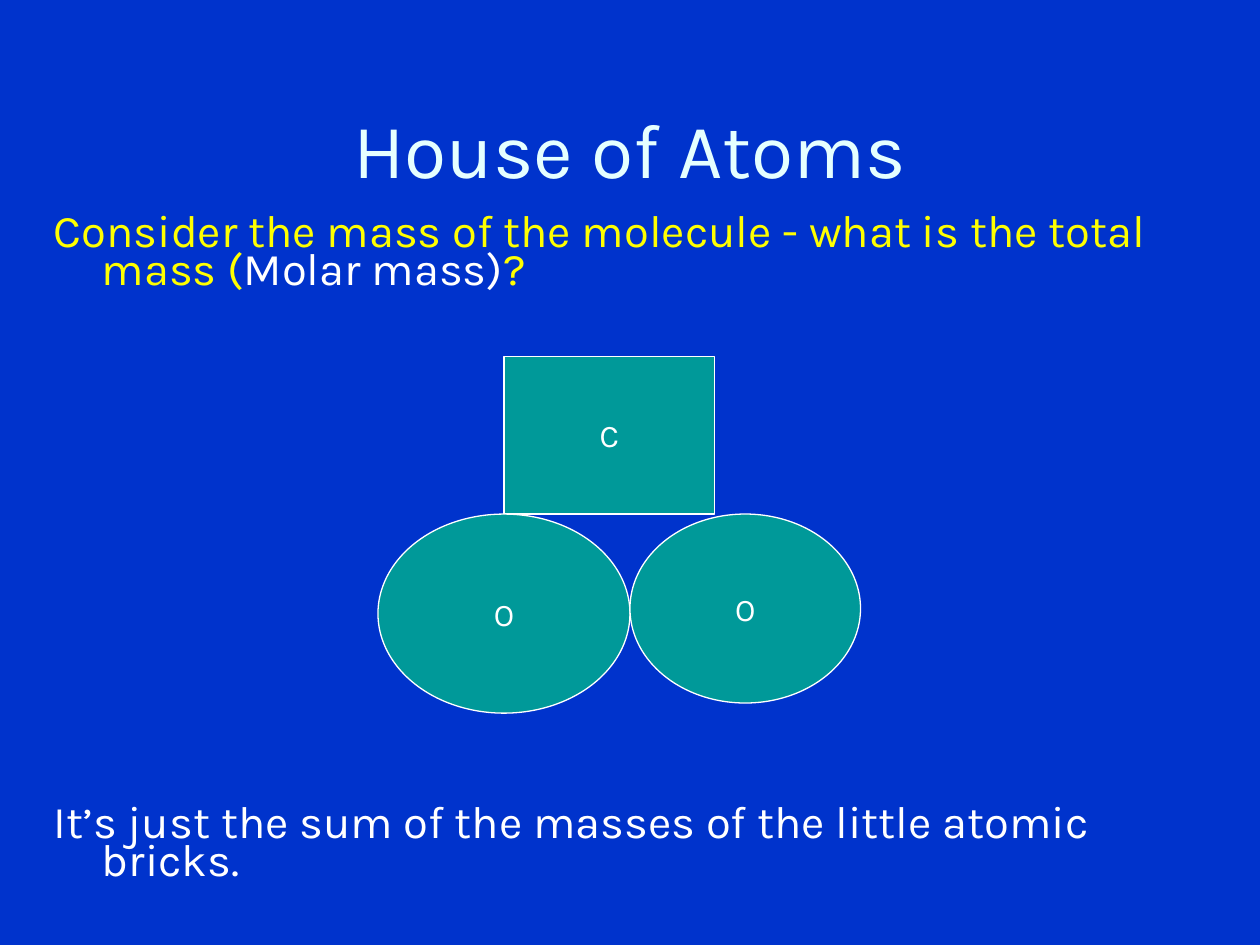
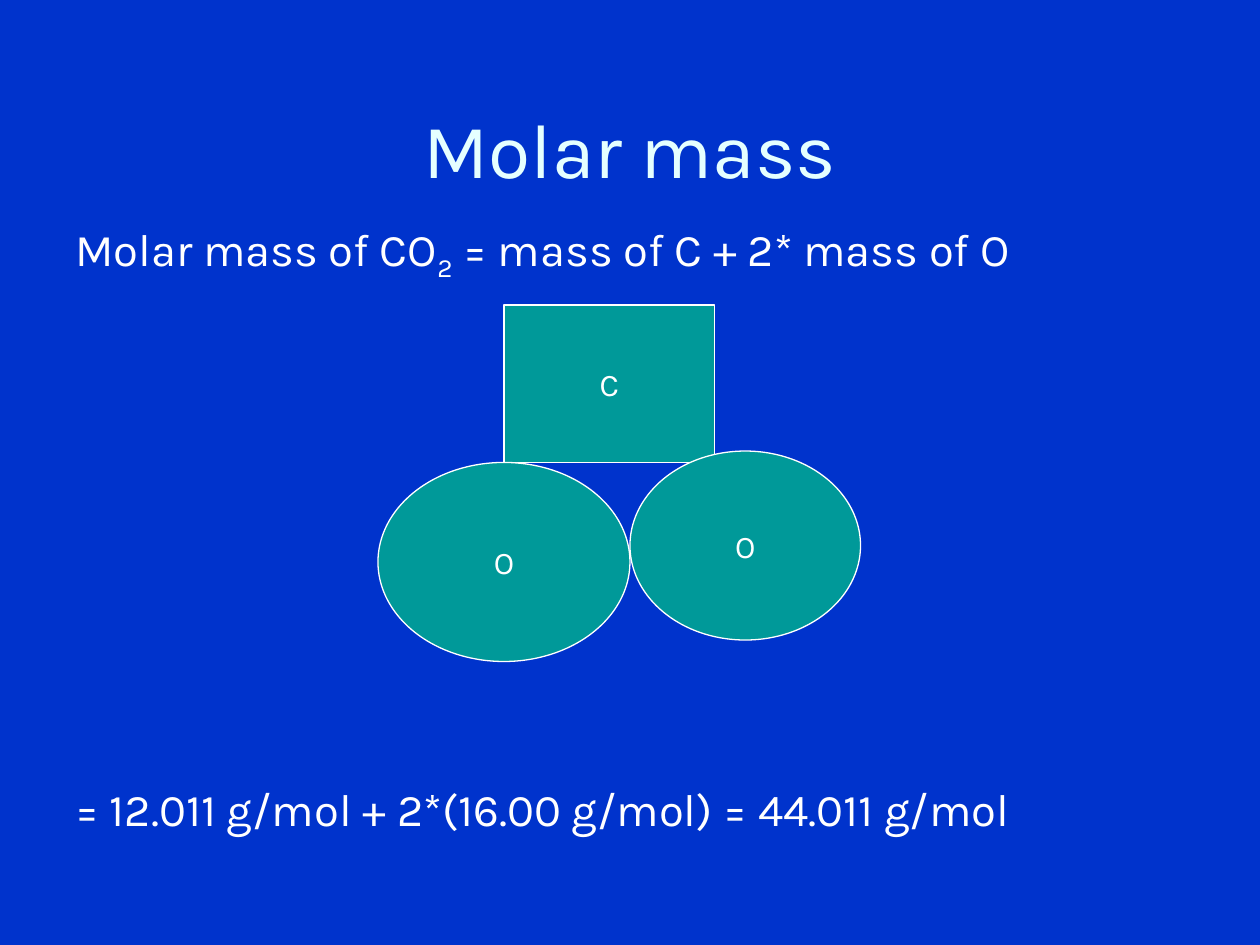
from dataclasses import dataclass

from pptx import Presentation
from pptx import util as u
from pptx.dml.color import RGBColor
from pptx.enum import shapes, text


@dataclass(frozen=True)
class Theme:
    background: RGBColor = RGBColor(0x00, 0x33, 0xCC)
    title: RGBColor = RGBColor(0xE5, 0xFF, 0xFF)
    question: RGBColor = RGBColor(0xFF, 0xFF, 0x00)
    plain: RGBColor = RGBColor(0xFF, 0xFF, 0xFF)
    atom: RGBColor = RGBColor(0x00, 0x99, 0x99)
    font: str = "Karla"
    title_size: u.Pt = u.Pt(44)
    body_size: u.Pt = u.Pt(25.9)
    atom_size: u.Pt = u.Pt(18)
    outline: u.Pt = u.Pt(0.75)
    molecule_gap: u.Pt = u.Pt(294.5)
    hanging: u.Inches = u.Inches(0.38)


THEME = Theme()


@dataclass(frozen=True)
class Phrase:
    words: str
    color: RGBColor = THEME.plain
    subscript: bool = False


@dataclass(frozen=True)
class Box:
    left: float
    top: float
    width: float
    height: float

    def inches(self) -> tuple:
        return tuple(map(u.Inches, (self.left, self.top, self.width, self.height)))


@dataclass(frozen=True)
class Lesson:
    title: str
    body: Box
    line_spacing: float
    statement: list[Phrase]
    conclusion: str
    carbon_top: float
    right_oxygen_lift: float = 0


TITLE_BOX = Box(0.5, 0.42, 9, 1.5)
CARBON_HEIGHT = 1.25

LESSONS = [
    Lesson(
        "House of Atoms",
        Box(0.33, 1.67, 9.17, 5.33),
        0.7,
        [
            Phrase("Consider the mass of the molecule - what is the total mass (", THEME.question),
            Phrase("Molar mass)"),
            Phrase("?", THEME.question),
        ],
        "It’s just the sum of the masses of the little atomic bricks.",
        carbon_top=2.83,
    ),
    Lesson(
        "Molar mass",
        Box(0.5, 1.75, 9, 4.92),
        0.8,
        [
            Phrase("Molar mass of CO"),
            Phrase("2", subscript=True),
            Phrase(" = mass of C + 2* mass of O"),
        ],
        "= 12.011 g/mol + 2*(16.00 g/mol) = 44.011 g/mol",
        carbon_top=2.42,
        right_oxygen_lift=0.09,
    ),
]


def style(paragraph, size: u.Pt, color: RGBColor) -> None:
    paragraph.font.name = THEME.font
    paragraph.font.size = size
    paragraph.font.color.rgb = color


def add_title(slide, title: str) -> None:
    frame = slide.shapes.add_textbox(*TITLE_BOX.inches()).text_frame
    frame.word_wrap = True
    frame.vertical_anchor = text.MSO_ANCHOR.MIDDLE
    heading = frame.paragraphs[0]
    heading.text = title
    heading.alignment = text.PP_ALIGN.CENTER
    style(heading, THEME.title_size, THEME.title)


def add_phrases(paragraph, phrases: list[Phrase], line_spacing: float, before: u.Pt) -> None:
    style(paragraph, THEME.body_size, THEME.plain)
    paragraph.line_spacing = line_spacing
    paragraph.space_before = before
    indents = paragraph._p.get_or_add_pPr()
    indents.set("marL", str(THEME.hanging))
    indents.set("indent", str(-THEME.hanging))
    for phrase in phrases:
        run = paragraph.add_run()
        run.text = phrase.words
        if phrase.color != THEME.plain:
            run.font.color.rgb = phrase.color
        if phrase.subscript:
            run._r.get_or_add_rPr().set("baseline", "-25000")


def add_body(slide, lesson: Lesson) -> None:
    frame = slide.shapes.add_textbox(*lesson.body.inches()).text_frame
    frame.word_wrap = True
    add_phrases(frame.paragraphs[0], lesson.statement, lesson.line_spacing, u.Pt(7))
    add_phrases(frame.add_paragraph(), [Phrase(lesson.conclusion)],
                lesson.line_spacing, THEME.molecule_gap)


def add_atom(slide, symbol: str, outline: shapes.MSO_SHAPE, box: Box) -> None:
    atom = slide.shapes.add_shape(outline, *box.inches())
    atom.shadow.inherit = False
    atom.fill.solid()
    atom.fill.fore_color.rgb = THEME.atom
    atom.line.color.rgb = THEME.plain
    atom.line.width = THEME.outline
    frame = atom.text_frame
    frame.word_wrap = False
    frame.vertical_anchor = text.MSO_ANCHOR.MIDDLE
    label = frame.paragraphs[0]
    label.text = symbol
    label.alignment = text.PP_ALIGN.CENTER
    style(label, THEME.atom_size, THEME.plain)


def add_molecule(slide, carbon_top: float, right_oxygen_lift: float) -> None:
    oxygen_top = carbon_top + CARBON_HEIGHT
    square, circle = shapes.MSO_SHAPE.RECTANGLE, shapes.MSO_SHAPE.OVAL
    add_atom(slide, "C", square, Box(4, carbon_top, 1.67, CARBON_HEIGHT))
    add_atom(slide, "O", circle, Box(3, oxygen_top, 2, 1.58))
    add_atom(slide, "O", circle, Box(5, oxygen_top - right_oxygen_lift, 1.83, 1.5))


def main() -> None:
    deck = Presentation()
    deck.slide_width, deck.slide_height = u.Inches(10), u.Inches(7.5)
    backdrop = deck.slide_master.background.fill
    backdrop.solid()
    backdrop.fore_color.rgb = THEME.background
    for lesson in LESSONS:
        slide = deck.slides.add_slide(deck.slide_layouts[6])
        add_title(slide, lesson.title)
        add_body(slide, lesson)
        add_molecule(slide, lesson.carbon_top, lesson.right_oxygen_lift)
    deck.save("out.pptx")


if __name__ == "__main__":
    main()
